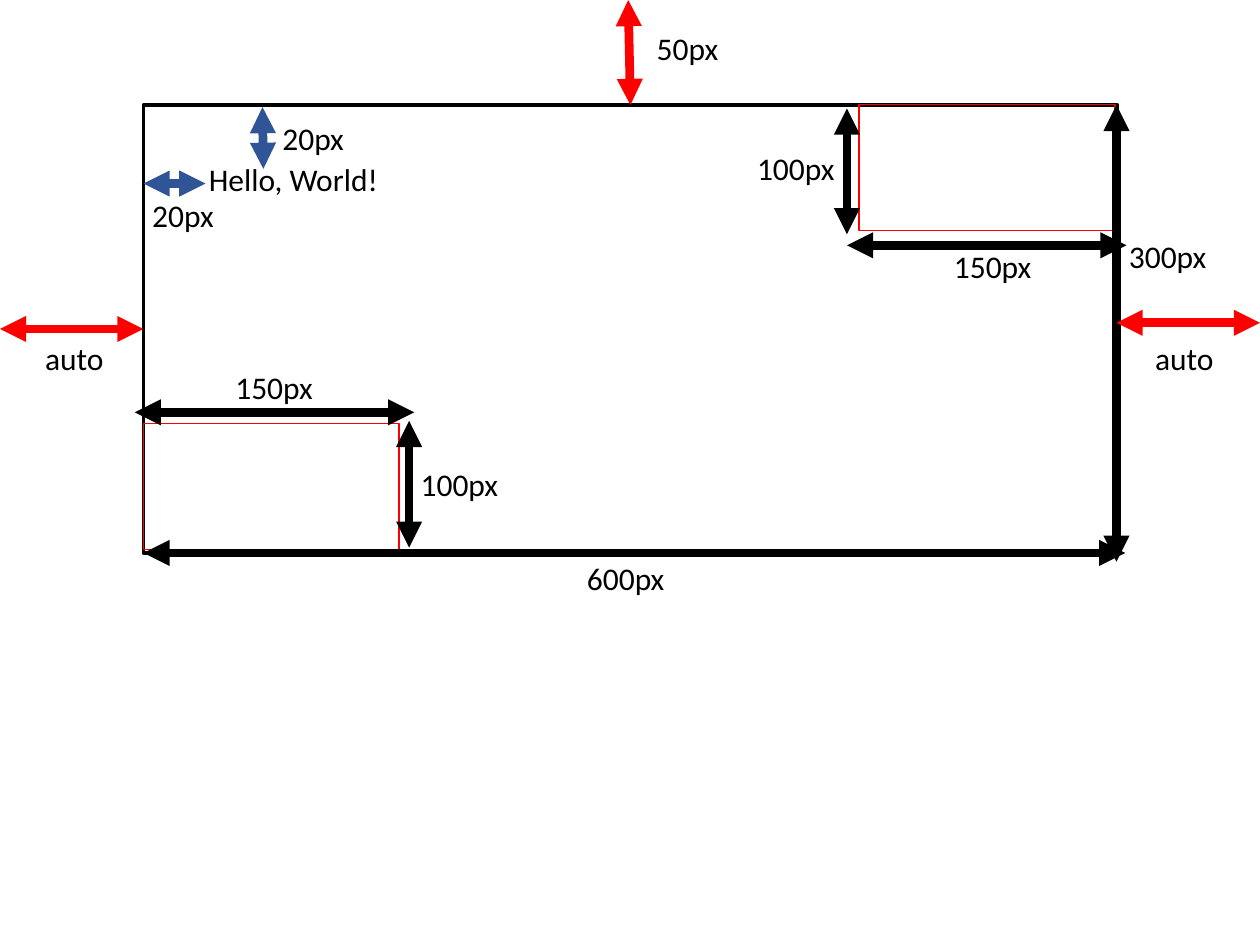
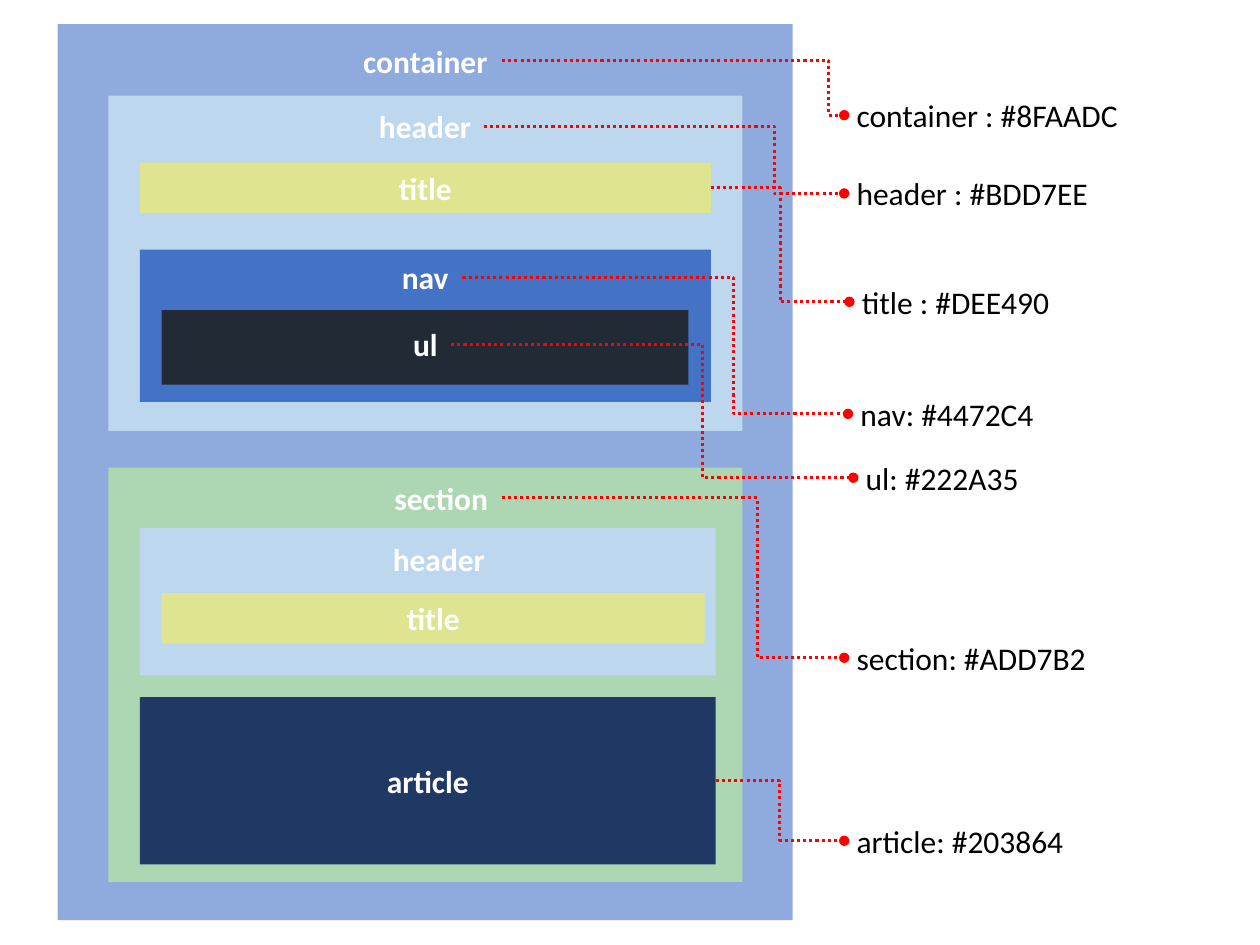
import pptx
import pptx.dml.color
import pptx.enum.dml
import pptx.enum.shapes
import pptx.enum.text
import pptx.oxml.ns
import pptx.util
from lxml import etree

Pt = pptx.util.Pt
RGBColor = pptx.dml.color.RGBColor
CONNECTOR = pptx.enum.shapes.MSO_CONNECTOR
qn = pptx.oxml.ns.qn

BLACK = RGBColor(0x00, 0x00, 0x00)
WHITE = RGBColor(0xFF, 0xFF, 0xFF)
RED = RGBColor(0xFF, 0x00, 0x00)
BLUE = RGBColor(0x2F, 0x55, 0x97)
CONTAINER = RGBColor(0x8F, 0xAA, 0xDC)
HEADER = RGBColor(0xBD, 0xD7, 0xEE)
TITLE = RGBColor(0xDE, 0xE4, 0x90)
NAV = RGBColor(0x44, 0x72, 0xC4)
UL = RGBColor(0x22, 0x2A, 0x35)
SECTION = RGBColor(0xAD, 0xD7, 0xB2)
ARTICLE = RGBColor(0x20, 0x38, 0x64)

TOP, LEFT, BOTTOM, RIGHT = range(4)  # connection sites of a rectangle


class Painter:
    """Holds the text style and the slide being drawn."""

    font = "Calibri"
    size = Pt(18)
    line_height = 29

    def __init__(self, deck):
        self.deck = deck
        self.slide = None

    def new_page(self):
        self.slide = self.deck.slides.add_slide(self.deck.slide_layouts[6])

    def add_span(self, para, words, color, bold=False):
        span = para.add_run()
        span.text = words
        span.font.name = self.font
        span.font.size = self.size
        span.font.bold = bold
        span.font.color.rgb = color

    def label(self, words, left, top, width, color=BLACK, bold=False, wrap=False):
        box = self.slide.shapes.add_textbox(
            Pt(left), Pt(top), Pt(width), Pt(self.line_height))
        frame = box.text_frame
        frame.word_wrap = wrap
        frame.auto_size = pptx.enum.text.MSO_AUTO_SIZE.SHAPE_TO_FIT_TEXT
        self.add_span(frame.paragraphs[0], words, color, bold)
        return box

    def rectangle(self, left, top, width, height):
        shape = self.slide.shapes.add_shape(
            pptx.enum.shapes.MSO_SHAPE.RECTANGLE,
            Pt(left), Pt(top), Pt(width), Pt(height))
        shape.shadow.inherit = False
        return shape

    def outline(self, left, top, width, height, color, weight):
        shape = self.rectangle(left, top, width, height)
        shape.fill.background()
        shape.line.color.rgb = color
        shape.line.width = Pt(weight)
        return shape

    def block(self, left, top, width, height, color, words=None):
        shape = self.rectangle(left, top, width, height)
        shape.fill.solid()
        shape.fill.fore_color.rgb = color
        shape.line.fill.background()
        if words:
            shape.text_frame.vertical_anchor = pptx.enum.text.MSO_ANCHOR.MIDDLE
            para = shape.text_frame.paragraphs[0]
            para.alignment = pptx.enum.text.PP_ALIGN.CENTER
            self.add_span(para, words, WHITE, bold=True)
        return shape

    def connector(self, kind, start, end, color, weight, dash=None, **ends):
        line = self.slide.shapes.add_connector(
            kind, *(Pt(value) for value in (*start, *end)))
        line.line.color.rgb = color
        line.line.width = Pt(weight)
        if dash:
            line.line.dash_style = dash
        outline = line._element.spPr.find(qn("a:ln"))
        for name, form in ends.items():
            etree.SubElement(outline, qn(f"a:{name}"), type=form)
        etree.SubElement(line._element.spPr, qn("a:effectLst"))
        return line

    def measure(self, start, end, color=BLACK):
        """Thick arrow with a head at both ends."""
        return self.connector(CONNECTOR.STRAIGHT, start, end, color, 5,
                              headEnd="triangle", tailEnd="triangle")

    def callout(self, source, key, bend):
        """Dotted elbow from a block or its label to its colour key."""
        line = self.connector(
            CONNECTOR.ELBOW, (0, 0), (0, 0), RED, 1.75,
            pptx.enum.dml.MSO_LINE.ROUND_DOT, tailEnd="oval")
        line.begin_connect(source, RIGHT)
        line.end_connect(key, LEFT)
        geometry = line._element.spPr.find(qn("a:prstGeom"))
        guides = geometry.find(qn("a:avLst"))
        if guides is None:
            guides = etree.SubElement(geometry, qn("a:avLst"))
        etree.SubElement(guides, qn("a:gd"), name="adj1",
                         fmla=f"val {round(bend * 100000)}")


def draw_box_model(painter):
    painter.new_page()

    # Main box and the two corner boxes
    frame = painter.outline(82, 60, 556.5, 256, BLACK, 2.25)
    for left, top in ((491, 59.8), (82, 242)):
        painter.outline(left, top, 146.2, 72, RED, 1)

    # Sizes
    for start, end in (
        ((82, 316), (643, 316)),
        ((638, 60), (638, 321)),
        ((484, 140.2), (643.7, 140.2)),
        ((77, 235.6), (236.7, 235.6)),
        ((484, 133.9), (484, 62)),
        ((233.8, 313), (233.8, 240.5)),
    ):
        painter.measure(start, end)

    # Padding
    painter.measure((82, 104.9), (117.4, 104.9), BLUE)
    painter.measure((150.5, 96.5), (150, 61.2), BLUE)

    # Margins
    painter.measure((359, 0), (360.3, 60), RED).end_connect(frame, TOP)
    painter.measure((0, 188), (82, 188), RED).end_connect(frame, LEFT)
    painter.measure((638, 184.5), (720, 184.5), RED)

    # Captions
    for words, left, top, width in (
        ("600px", 328.3, 316.1, 59),
        ("300px", 638, 131.8, 59),
        ("50px", 368.2, 13, 49.7),
        ("auto", 653, 190.1, 48.2),
        ("auto", 18.7, 190.4, 48.2),
        ("150px", 538, 137.5, 59),
        ("150px", 127.4, 206.6, 59),
        ("100px", 233.3, 262.1, 59),
        ("20px", 154.3, 64.4, 49.7),
        ("100px", 425.5, 81.4, 59),
        ("20px", 79.9, 108.7, 49.7),
        ("Hello, World!", 112.3, 87.8, 112.3),
    ):
        painter.label(words, left, top, width)


def draw_layout_colors(painter):
    painter.new_page()

    # Nested blocks
    painter.block(33, 13.8, 420, 512, CONTAINER)
    painter.block(62, 54.7, 362.2, 191.5, HEADER)
    title = painter.block(80, 92.9, 326.2, 28.8, TITLE, "title")
    painter.block(80, 142.6, 326.2, 87, NAV)
    painter.block(92.4, 177.2, 301, 42.6, UL)
    painter.block(62, 267.2, 362.2, 236.8, SECTION)
    painter.block(80, 301.6, 329, 84.4, HEADER)
    painter.block(92.4, 339, 310.3, 28.8, TITLE, "title")
    article = painter.block(80, 398.3, 329, 95.6, ARTICLE, "article")

    # Labels on the blocks
    container, header, nav, ul, section, _ = (
        painter.label(words, left, top, width, WHITE, bold=True)
        for words, left, top, width in (
            ("container", 200.5, 20.2, 86.4),
            ("header", 209.5, 57.6, 67),
            ("nav", 222.5, 144, 41.8),
            ("ul", 229, 182.2, 28.8),
            ("section", 218.2, 270, 68.4),
            ("header", 217.4, 305.3, 67),
        ))

    # Colour keys and their callouts
    for source, words, left, top, width, bend in (
        (container, f"container : #{CONTAINER}", 482.4, 51.3, 165.6, 0.955),
        (header, f"header : #{HEADER}", 482.4, 96, 148.3, 0.806),
        (title, f"title : #{TITLE}", 485.4, 158, 123.1, 0.5),
        (nav, f"nav: #{NAV}", 484.6, 222, 114.5, 0.704),
        (ul, f"ul: #{UL}", 487.6, 258.5, 103, 0.626),
        (section, f"section: #{SECTION}", 482.4, 361.4, 211.7, 0.746),
        (article, f"article: #{ARTICLE}", 482.4, 466, 134, 0.5),
    ):
        key = painter.label(words, left, top, width, wrap=source is section)
        painter.callout(source, key, bend)


def main():
    deck = pptx.Presentation()
    deck.slide_width = Pt(720)
    deck.slide_height = Pt(540)
    painter = Painter(deck)
    draw_box_model(painter)
    draw_layout_colors(painter)
    deck.save("out.pptx")


if __name__ == "__main__":
    main()
